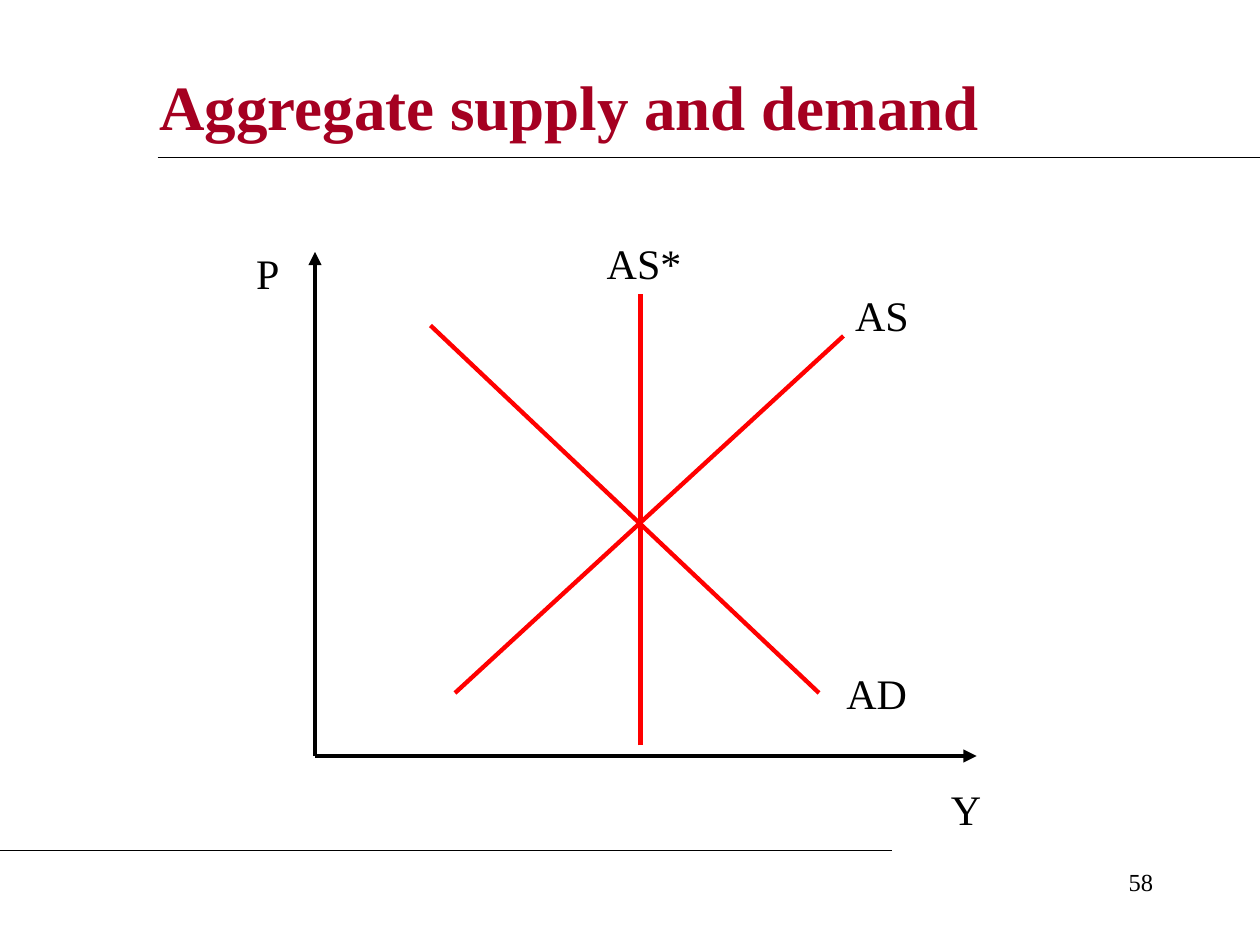
from lxml import etree
from pptx import Presentation
from pptx.dml.color import RGBColor
from pptx.enum.shapes import MSO_CONNECTOR
from pptx.enum.text import MSO_ANCHOR, PP_ALIGN
from pptx.oxml.ns import qn
from pptx.util import Pt

STRAIGHT = MSO_CONNECTOR.STRAIGHT
LEFT, CENTER, RIGHT = PP_ALIGN.LEFT, PP_ALIGN.CENTER, PP_ALIGN.RIGHT
TOP, MIDDLE = MSO_ANCHOR.TOP, MSO_ANCHOR.MIDDLE

FONT = "Times New Roman"
COLORS = {"ink": "000000", "title": "A50021", "curve": "FF0000"}
LABEL_HEIGHT = 36
ORIGIN = (180, 432)

RULES = [((90, 90), (720, 90)), ((0, 486), (510, 486))]
AXES = [(ORIGIN, (558, 432)), (ORIGIN, (180, 144))]
CURVES = [
    ((260, 396), (482, 192)),
    ((468, 396), (246, 186)),
    ((366, 426), (366, 168)),
]
LABELS = [
    ("Y", 528, 444, 48),
    ("P", 132, 138, 42),
    ("AS", 480, 162, 48),
    ("AD", 468, 378, 66),
    ("AS*", 338, 132, 60),
]


def add_text(page, text, left, top, width, height, *, size=24, color="ink",
             bold=False, align=CENTER, anchor=TOP):
    box = page.shapes.add_textbox(Pt(left), Pt(top), Pt(width), Pt(height))
    frame = box.text_frame
    frame.word_wrap = True
    frame.vertical_anchor = anchor
    para = frame.paragraphs[0]
    para.alignment = align
    span = para.add_run()
    span.text = text
    span.font.name = FONT
    span.font.size = Pt(size)
    span.font.bold = bold
    span.font.color.rgb = RGBColor.from_string(COLORS[color])


def add_line(page, start, end, *, color="ink", width=2.5, arrow=False):
    line = page.shapes.add_connector(STRAIGHT, *map(Pt, start + end))
    line.line.color.rgb = RGBColor.from_string(COLORS[color])
    line.line.width = Pt(width)
    if arrow:
        outline = line.line._get_or_add_ln()
        etree.SubElement(outline, qn("a:tailEnd"), type="triangle")
    etree.SubElement(line._element.spPr, qn("a:effectLst"))


def main():
    deck = Presentation()
    deck.slide_width, deck.slide_height = Pt(720), Pt(540)
    page = deck.slides.add_slide(deck.slide_layouts[6])

    add_text(page, "Aggregate supply and demand", 84, 30, 612, 60, size=36,
             color="title", bold=True, align=LEFT, anchor=MIDDLE)
    add_text(page, "58", 516, 492, 150, 36, size=14, align=RIGHT)
    for start, end in RULES:
        add_line(page, start, end, width=0.75)
    for start, end in AXES:
        add_line(page, start, end, arrow=True)
    for start, end in CURVES:
        add_line(page, start, end, color="curve")
    for text, left, top, width in LABELS:
        add_text(page, text, left, top, width, LABEL_HEIGHT)

    deck.save("out.pptx")


if __name__ == "__main__":
    main()
